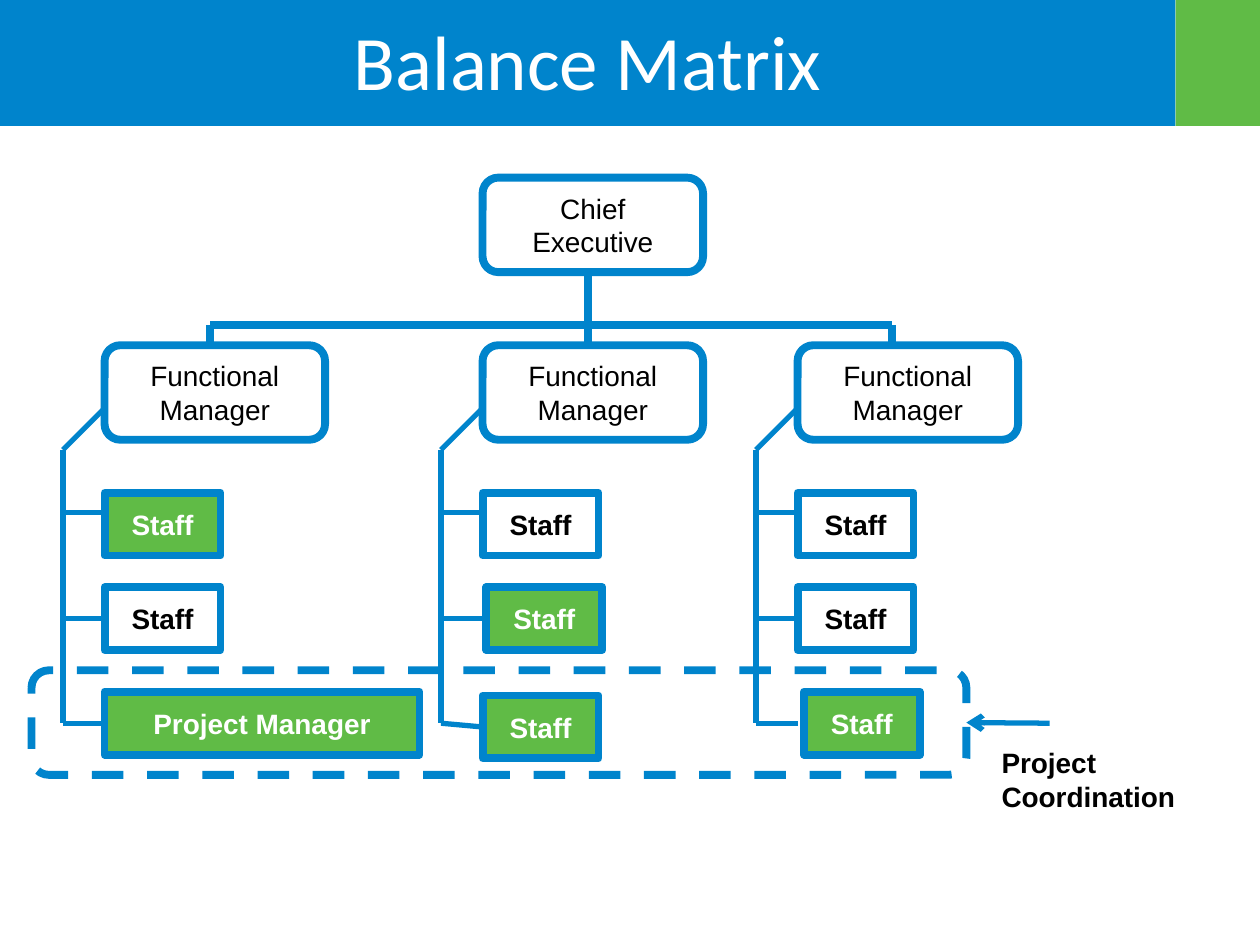
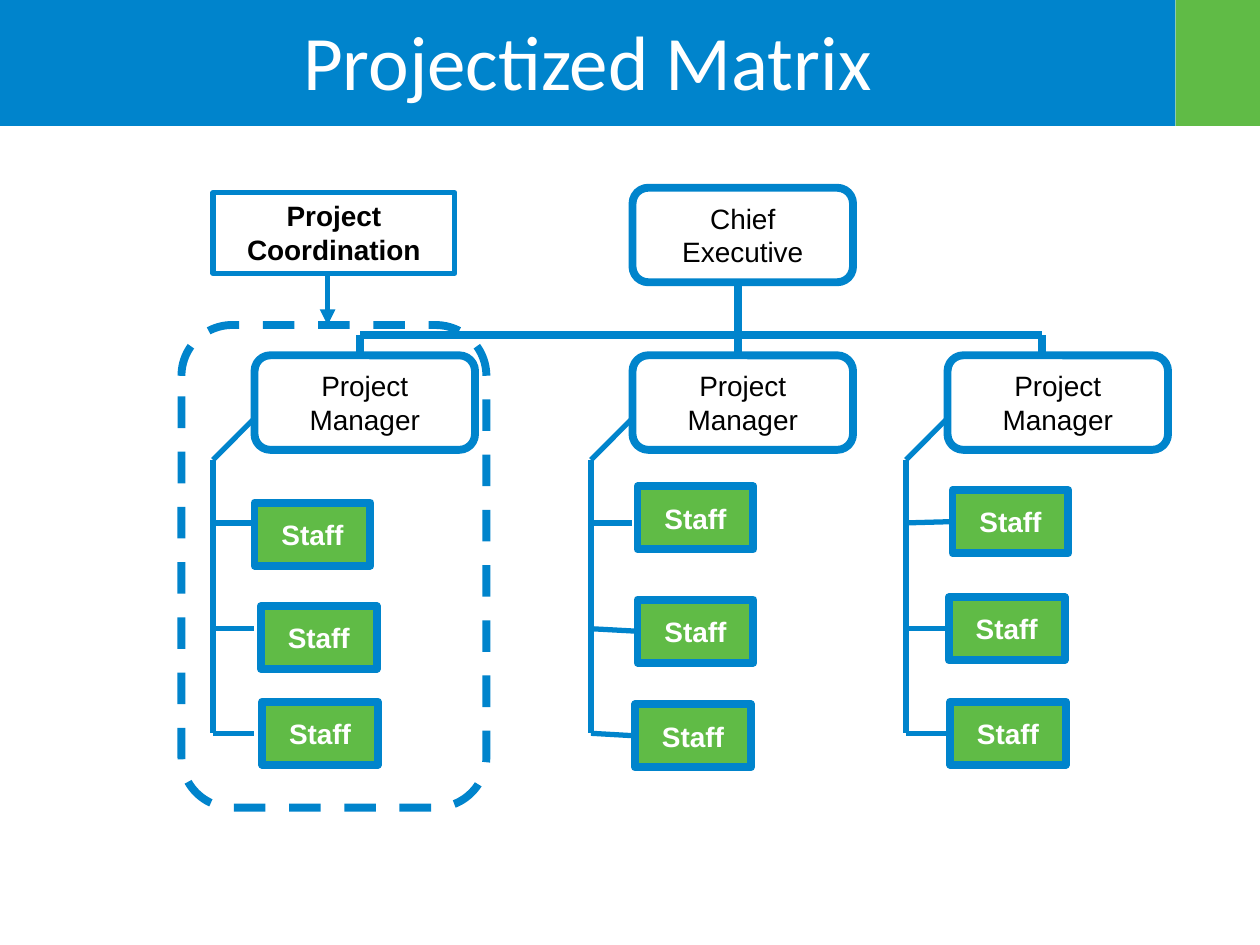
from dataclasses import dataclass

from lxml.etree import SubElement
from pptx import Presentation
from pptx.dml.color import RGBColor
from pptx.enum.dml import MSO_LINE
from pptx.enum.shapes import MSO_CONNECTOR, MSO_SHAPE
from pptx.enum.text import MSO_ANCHOR, PP_ALIGN
from pptx.oxml.ns import qn
from pptx.util import Inches, Pt

COLORS = {"blue": "0084CC", "green": "60BB46", "white": "FFFFFF", "black": "000000"}
THICK, THIN = 4.5, 3
BOX_W, BOX_H = 1.75, 0.75
STAFF_W, STAFF_H = 0.92, 0.5
INDENT = 0.33                    # from a column's spine to its manager box
SPINES = (0, 3, 5.5)             # left of each column within the chart
DROPS = (1.17, 4.17, 6.58)       # where the bus meets each column
BUS_Y, MANAGER_Y = 1.17, 1.33
ELBOW_Y = 2.16
TWIG_YS = (2.66, 3.5, 4.33)
SNAP = 0.04                      # twigs this close to a side's middle are joined


@dataclass
class Staff:
    """A box placed relative to its column's spine and the chart's top."""
    dx: float
    dy: float
    filled: bool = True
    label: str = "Staff"
    width: float = STAFF_W


def rgb(name):
    return RGBColor.from_string(COLORS[name])


def add_box(s, shape, x, y, w, h, fill=None, line=None):
    sp = s.shapes.add_shape(shape, Inches(x), Inches(y), Inches(w), Inches(h))
    sp.shadow.inherit = False
    if fill:
        sp.fill.solid()
        sp.fill.fore_color.rgb = rgb(fill)
    else:
        sp.fill.background()
    if line:
        sp.line.color.rgb = rgb("blue")
        sp.line.width = Pt(line)
    else:
        sp.line.fill.background()
    return sp


def set_text(sp, text, size=16, font="Arial", color="black", bold=False,
             align=PP_ALIGN.CENTER, anchor=MSO_ANCHOR.MIDDLE, wrap=False):
    tf = sp.text_frame
    tf.word_wrap = wrap
    tf.vertical_anchor = anchor
    p = tf.paragraphs[0]
    p.text = text
    p.alignment = align
    p.font.size = Pt(size)
    p.font.name = font
    p.font.bold = bold
    p.font.color.rgb = rgb(color)


def add_line(s, x1, y1, x2, y2, width=THIN, arrow=None):
    line = s.shapes.add_connector(MSO_CONNECTOR.STRAIGHT, Inches(x1), Inches(y1),
                                  Inches(x2), Inches(y2))
    line.line.color.rgb = rgb("blue")
    line.line.width = Pt(width)
    if arrow:
        SubElement(line.line._get_or_add_ln(), qn("a:tailEnd"), type=arrow)
    SubElement(line._element.spPr, qn("a:effectLst"))
    return line


def add_title_band(s, title):
    add_box(s, MSO_SHAPE.RECTANGLE, 0, 0, 9.33, 1, "blue")
    add_box(s, MSO_SHAPE.RECTANGLE, 9.33, 0, 0.67, 1, "green")
    tb = s.shapes.add_textbox(Inches(0.08), Inches(0.03), Inches(9.17), Inches(0.88))
    set_text(tb, title, 44, "Calibri", "white", wrap=True)


def add_role(s, x, y, text):
    sp = add_box(s, MSO_SHAPE.ROUNDED_RECTANGLE, x, y, BOX_W, BOX_H, line=THICK)
    set_text(sp, text)


def add_column(s, x, top, manager, team):
    """Manager box, its spine, and the staff hanging from it."""
    left = x + INDENT
    add_role(s, left, top + MANAGER_Y, manager)
    add_line(s, left, top + ELBOW_Y - INDENT, x, top + ELBOW_Y)
    add_line(s, x, top + ELBOW_Y, x, top + TWIG_YS[-1])
    for twig_y, staff in zip(TWIG_YS, team):
        sp = add_box(s, MSO_SHAPE.RECTANGLE, x + staff.dx, top + staff.dy, staff.width,
                     STAFF_H, "green" if staff.filled else None, THICK)
        set_text(sp, staff.label, color="white" if staff.filled else "black", bold=True)
        twig = add_line(s, x, top + twig_y, left, top + twig_y)
        gaps = staff.dx - INDENT, staff.dy + STAFF_H / 2 - twig_y
        if all(abs(gap) < SNAP for gap in gaps):
            twig.end_connect(sp, 1)


def add_org_chart(s, left, top, manager, teams):
    add_role(s, left + SPINES[1] + INDENT, top, "Chief\vExecutive")
    bus_y = top + BUS_Y
    add_line(s, left + DROPS[0], bus_y, left + DROPS[-1], bus_y, THICK)
    for i, drop in enumerate(DROPS):
        start = top + BOX_H if i == 1 else bus_y
        add_line(s, left + drop, start, left + drop, top + MANAGER_Y, THICK)
    for spine, team in zip(SPINES, teams):
        add_column(s, left + spine, top, manager, team)


def add_dashed_frame(s, x, y, w, h):
    sp = add_box(s, MSO_SHAPE.ROUNDED_RECTANGLE, x, y, w, h, line=THICK)
    sp.line.dash_style = MSO_LINE.DASH
    return sp


def add_coordination(s, x, y, align, line=None):
    sp = add_box(s, MSO_SHAPE.RECTANGLE, x, y, 1.92, 0.64, line=line)
    set_text(sp, "Project Coordination", bold=True, align=align,
             anchor=MSO_ANCHOR.TOP, wrap=True)


def balance_slide(s):
    add_title_band(s, "Balance Matrix")
    teams = (
        (Staff(0.33, 2.5), Staff(0.33, 3.25, False),
         Staff(0.33, 4.08, label="Project Manager", width=2.5)),
        (Staff(0.33, 2.5, False), Staff(0.36, 3.25), Staff(0.33, 4.11)),
        (Staff(0.33, 2.5, False), Staff(0.33, 3.25, False), Staff(0.38, 4.08)),
    )
    add_org_chart(s, 0.5, 1.41, "Functional\vManager", teams)
    frame = add_dashed_frame(s, 0.25, 5.32, 7.42, 0.83)
    add_coordination(s, 7.85, 5.87, PP_ALIGN.LEFT)
    arrow = add_line(s, 8.33, 5.74, 7.67, 5.74, arrow="arrow")
    arrow.end_connect(frame, 3)


def projectized_slide(s):
    add_title_band(s, "Projectized Matrix")
    teams = (
        (Staff(0.33, 2.5), Staff(0.38, 3.32), Staff(0.39, 4.08)),
        (Staff(0.37, 2.37), Staff(0.37, 3.27), Staff(0.35, 4.1)),
        (Staff(0.37, 2.4), Staff(0.34, 3.25), Staff(0.35, 4.08)),
    )
    add_org_chart(s, 1.69, 1.49, "Project\vManager", teams)
    add_dashed_frame(s, 1.44, 2.58, 2.42, 3.83)
    add_coordination(s, 1.69, 1.53, PP_ALIGN.CENTER, THIN)
    add_line(s, 2.6, 2.16, 2.6, 2.58, arrow="triangle")


def main():
    prs = Presentation()
    prs.slide_width, prs.slide_height = Inches(10), Inches(7.5)
    for build in (balance_slide, projectized_slide):
        build(prs.slides.add_slide(prs.slide_layouts[6]))
    prs.save("out.pptx")


if __name__ == "__main__":
    main()
